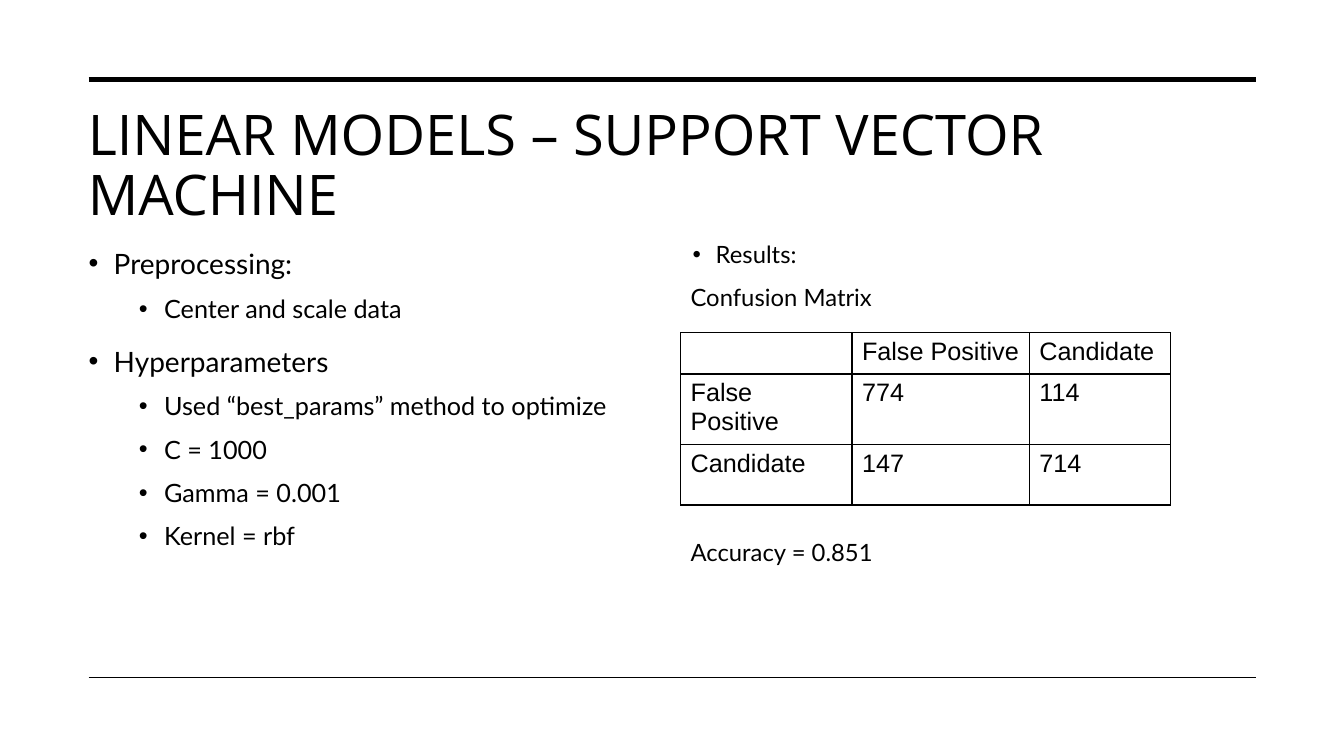
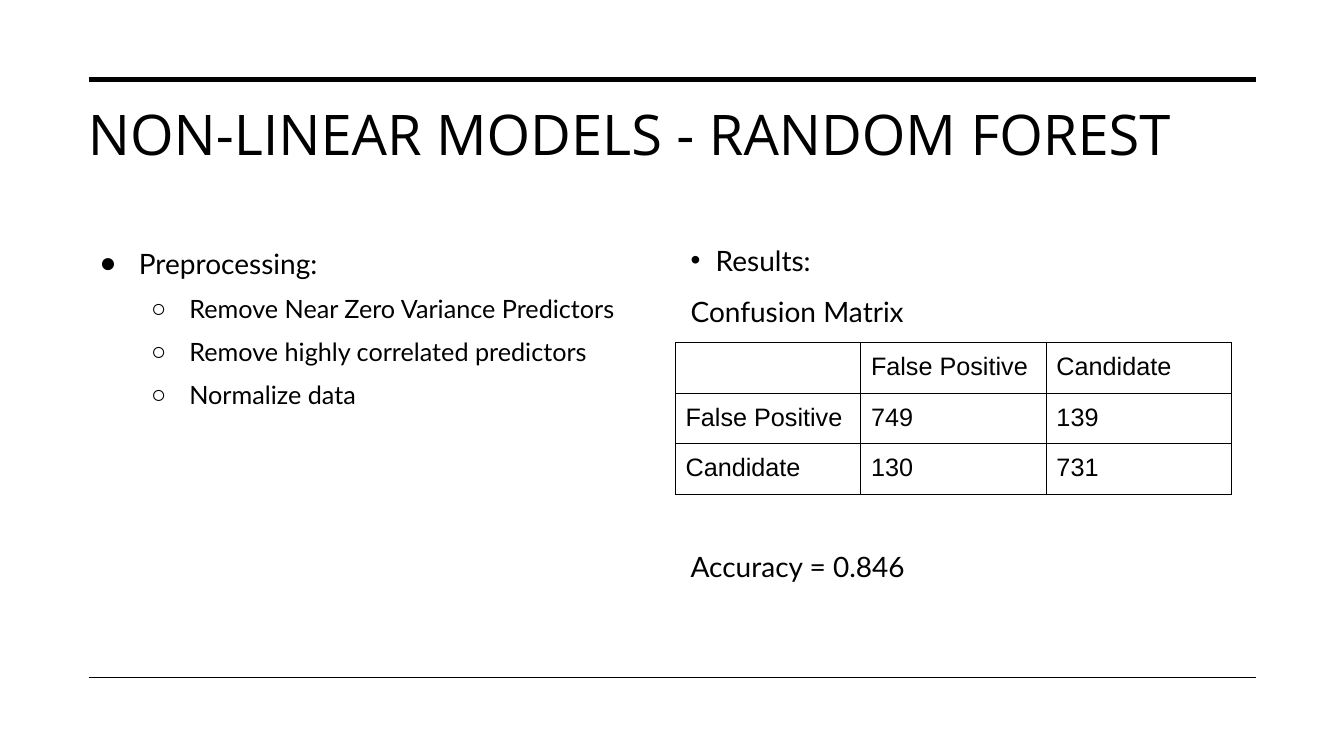
from lxml import etree
from pptx import Presentation
from pptx.dml.color import RGBColor
from pptx.enum.shapes import MSO_CONNECTOR
from pptx.enum.text import MSO_ANCHOR
from pptx.oxml import parse_xml
from pptx.oxml.ns import nsdecls, qn
from pptx.util import Inches, Pt

STRAIGHT = MSO_CONNECTOR.STRAIGHT
TOP = MSO_ANCHOR.TOP

THEME = {
    "ink": RGBColor(0, 0, 0),
    "paper": RGBColor(255, 255, 255),
    "title": {"name": "Open Sans", "size": Pt(40)},
    "body": {"name": "Lato", "size": Pt(20)},
    "sub": {"name": "Lato", "size": Pt(18)},
    "small": {"name": "Lato", "size": Pt(17)},
    "cell": {"name": "Arial", "size": Pt(18)},
}
LEFT, RIGHT = 6.6, 93.45
RULES = [(10.53, 3.5), (89.6, 1)]
TITLE_BOX = (5.8, 13.47, 87.7, 16.4)
LEFT_BOX = (5.85, 31.07, 43.5, 56)
RIGHT_BOX = (50.64, 31.07, 42.83, 56)

SLIDES = [
    {
        "title": "LINEAR MODELS – SUPPORT VECTOR MACHINE",
        "bullets": ["•", "•"],
        "indents": [(0.25, -0.25), (0.75, -0.25)],
        "notes": [
            (0, "Preprocessing:"),
            (1, "Center and scale data"),
            (0, "Hyperparameters"),
            (1, "Used “best_params” method to optimize"),
            (1, "C = 1000"),
            (1, "Gamma = 0.001"),
            (1, "Kernel = rbf"),
        ],
        "result_style": "small",
        "result_spacing": 1.0,
        "result_indent": (0.25, -0.23),
        "accuracy": "Accuracy = 0.851",
        "accuracy_gap": 162,
        "counts": [("774", "114"), ("147", "714")],
        "table_at": (50.64, 44),
        "cols": [12.75, 13.2, 10.5],
        "rows": [5.47, 5.47, 8],
        "cell_pad": 0.05,
        "border": 1,
    },
    {
        "title": "NON-LINEAR MODELS - RANDOM FOREST",
        "bullets": ["●", "○"],
        "indents": [(0.5, -0.39), (1, -0.38)],
        "notes": [
            (0, "Preprocessing:"),
            (1, "Remove Near Zero Variance Predictors"),
            (1, "Remove highly correlated predictors"),
            (1, "Normalize data"),
        ],
        "result_style": "body",
        "result_spacing": 1.1,
        "result_indent": (0.25, -0.25),
        "accuracy": "Accuracy = 0.846",
        "accuracy_gap": 156,
        "counts": [("749", "139"), ("130", "731")],
        "table_at": (50.26, 45.33),
        "cols": [13.8] * 3,
        "rows": [6.4] * 3,
        "cell_pad": 0.1,
        "border": 0.75,
    },
]

prs = Presentation()
prs.slide_width, prs.slide_height = Inches(13.33), Inches(7.5)
W, H = prs.slide_width / 100, prs.slide_height / 100


def write(p, text, style, spacing=1.0, before=0, bullet=None, indent=None):
    r = p.add_run()
    r.text = text
    for key, value in THEME[style].items():
        setattr(r.font, key, value)
    r.font.color.rgb = THEME["ink"]
    p.line_spacing, p.space_before = spacing, Pt(before)
    if bullet:
        pPr = p._p.get_or_add_pPr()
        for key, value in zip(("marL", "indent"), indent):
            pPr.set(key, str(Inches(value)))
        etree.SubElement(pPr, qn("a:buFont")).set("typeface", "Arial")
        etree.SubElement(pPr, qn("a:buChar")).set("char", bullet)


def add_text(s, box, paragraphs):
    l, t, w, h = box
    sp = s.shapes.add_textbox(int(l * W), int(t * H), int(w * W), int(h * H))
    tf = sp.text_frame
    tf.word_wrap, tf.vertical_anchor = True, TOP
    for i, fmt in enumerate(paragraphs):
        write(tf.add_paragraph() if i else tf.paragraphs[0], **fmt)


for data in SLIDES:
    s = prs.slides.add_slide(prs.slide_layouts[6])
    s.background.fill.solid()
    s.background.fill.fore_color.rgb = THEME["paper"]

    for y, width in RULES:
        rule = s.shapes.add_connector(
            STRAIGHT, int(LEFT * W), int(y * H), int(RIGHT * W), int(y * H))
        rule.line.color.rgb = THEME["ink"]
        rule.line.width = Pt(width)
        etree.SubElement(rule._element.spPr, qn("a:effectLst"))

    add_text(s, TITLE_BOX, [{"text": data["title"], "style": "title", "spacing": 0.9}])

    add_text(s, LEFT_BOX, [
        {
            "text": text,
            "style": ("body", "sub")[level],
            "spacing": 1.2,
            "before": (10, 5)[level] if i else 0,
            "bullet": data["bullets"][level],
            "indent": data["indents"][level],
        }
        for i, (level, text) in enumerate(data["notes"])
    ])

    result = {"style": data["result_style"], "spacing": data["result_spacing"]}
    add_text(s, RIGHT_BOX, [
        {"text": "Results:", "bullet": "•", "indent": data["result_indent"], **result},
        {"text": "Confusion Matrix", "before": 10, **result},
        {"text": data["accuracy"], "before": data["accuracy_gap"], **result},
    ])

    labels = ("False Positive", "Candidate")
    grid = [("", *labels)] + [(label, *row) for label, row in zip(labels, data["counts"])]
    x, y = data["table_at"]
    table = s.shapes.add_table(
        len(grid), len(grid[0]), int(x * W), int(y * H),
        int(sum(data["cols"]) * W), int(sum(data["rows"]) * H)).table
    table.first_row = table.horz_banding = False
    for col, width in zip(table.columns, data["cols"]):
        col.width = int(width * W)
    for row, height, texts in zip(table.rows, data["rows"], grid):
        row.height = int(height * H)
        for cell, text in zip(row.cells, texts):
            cell.margin_top = cell.margin_bottom = Inches(data["cell_pad"])
            cell.fill.solid()
            cell.fill.fore_color.rgb = THEME["paper"]
            write(cell.text_frame.paragraphs[0], text, "cell")
            tcPr = cell._tc.get_or_add_tcPr()
            for i, side in enumerate(("lnL", "lnR", "lnT", "lnB")):
                tcPr.insert(i, parse_xml(
                    f'<a:{side} {nsdecls("a")} w="{Pt(data["border"])}"><a:solidFill>'
                    f'<a:srgbClr val="{THEME["ink"]}"/></a:solidFill></a:{side}>'))

prs.save("out.pptx")
